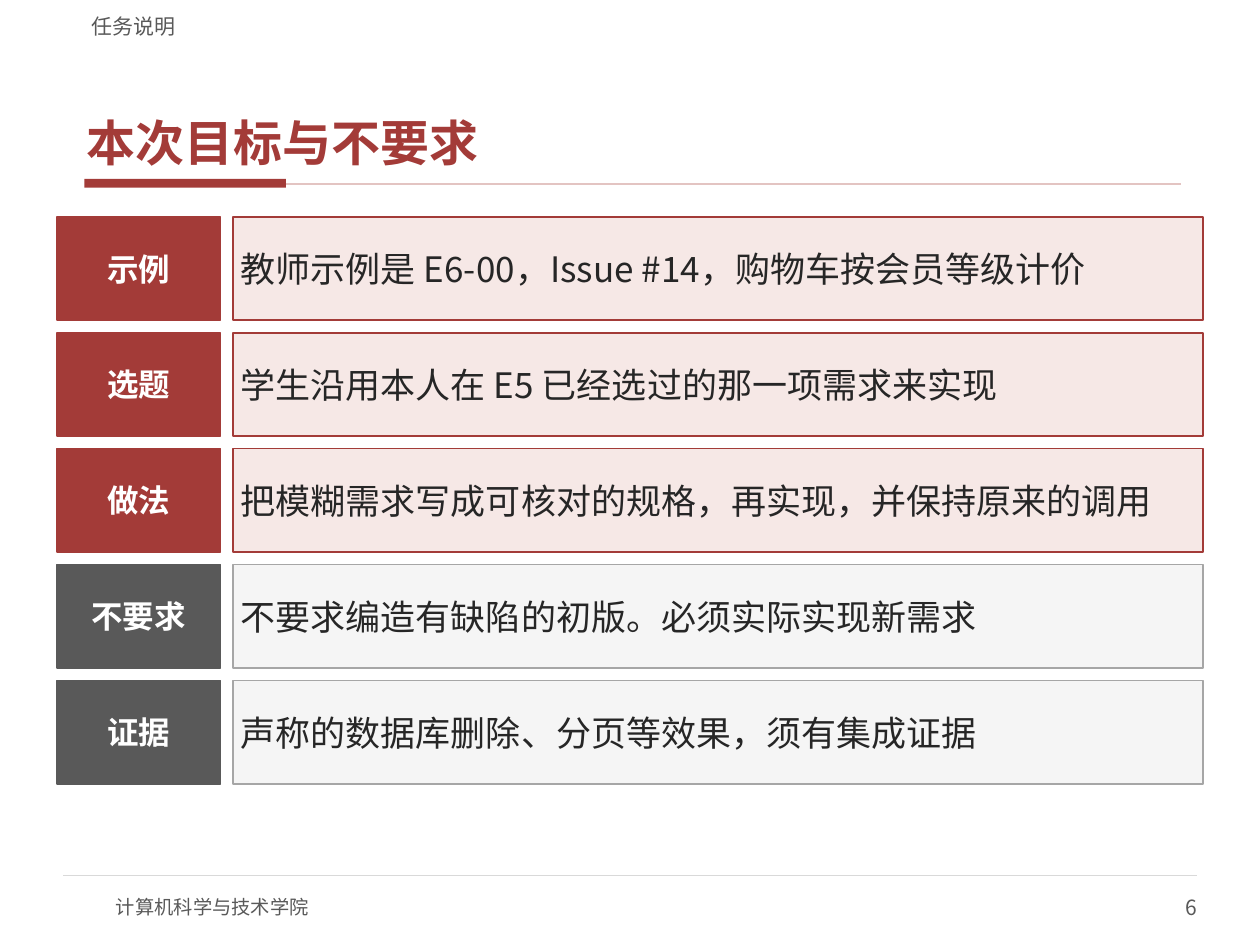
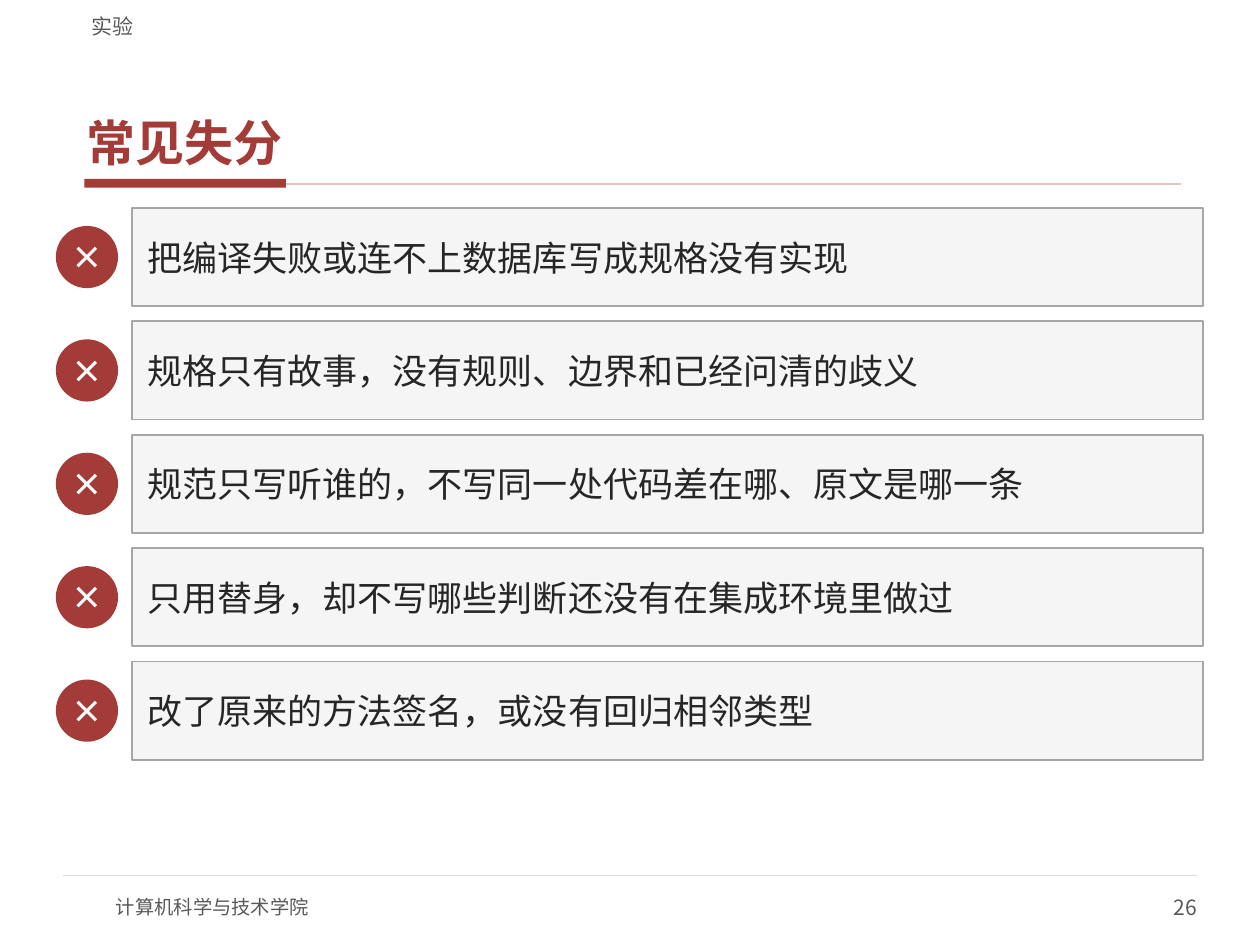
from dataclasses import dataclass

from lxml import etree
from pptx import Presentation
from pptx.dml.color import RGBColor
from pptx.enum import shapes, text
from pptx.oxml.ns import qn
from pptx.util import Pt

FONT = "Noto Sans CJK SC"
RED, PINK, PALE_RED = "A33B38", "F6E8E6", "E3C4C2"
GREY, MID_GREY, LIGHT_GREY, PALE_GREY = "595959", "A6A6A6", "D9D9D9", "F5F5F5"
INK, WHITE = "262626", "FFFFFF"
LEFT, RIGHT = 32.4, 687.6
ALIGN, ANCHOR = text.PP_ALIGN, text.MSO_ANCHOR
KIND = shapes.MSO_SHAPE


@dataclass(frozen=True)
class Box:
    left: float
    top: float
    width: float
    height: float

    def points(self) -> list[Pt]:
        return [Pt(v) for v in (self.left, self.top, self.width, self.height)]


@dataclass(frozen=True)
class TextStyle:
    size: float
    color: str
    bold: bool = False
    align: ALIGN = ALIGN.LEFT
    anchor: ANCHOR = ANCHOR.MIDDLE
    inset_x: float = 0
    inset_y: float = 0


@dataclass(frozen=True)
class Paint:
    fill: str
    line: str


@dataclass(frozen=True)
class Row:
    label: str
    content: str
    required: bool = True


TITLE = TextStyle(28, RED, True, anchor=ANCHOR.BOTTOM, inset_x=4.32, inset_y=1.44)
SECTION = TextStyle(12, GREY, anchor=ANCHOR.BOTTOM, inset_x=7.2)
FOOTER = TextStyle(11, GREY)
PAGE_NUMBER = TextStyle(12, GREY, align=ALIGN.RIGHT)
LABEL = TextStyle(18, WHITE, True, ALIGN.CENTER, inset_x=5.76, inset_y=2.88)
CROSS = TextStyle(18, WHITE, True, ALIGN.CENTER)
GOAL = TextStyle(20, INK, inset_x=4.32, inset_y=2.16)
MISTAKE = TextStyle(20, INK, inset_x=8.64, inset_y=4.32)

RED_SOLID, GREY_SOLID = Paint(RED, RED), Paint(GREY, GREY)
PINK_PANEL, GREY_PANEL = Paint(PINK, RED), Paint(PALE_GREY, MID_GREY)

GOALS = [
    Row("示例", "教师示例是 E6-00，Issue #14，购物车按会员等级计价"),
    Row("选题", "学生沿用本人在 E5 已经选过的那一项需求来实现"),
    Row("做法", "把模糊需求写成可核对的规格，再实现，并保持原来的调用"),
    Row("不要求", "不要求编造有缺陷的初版。必须实际实现新需求", False),
    Row("证据", "声称的数据库删除、分页等效果，须有集成证据", False),
]
MISTAKES = [
    "把编译失败或连不上数据库写成规格没有实现",
    "规格只有故事，没有规则、边界和已经问清的歧义",
    "规范只写听谁的，不写同一处代码差在哪、原文是哪一条",
    "只用替身，却不写哪些判断还没有在集成环境里做过",
    "改了原来的方法签名，或没有回归相邻类型",
]


def rgb(color: str) -> RGBColor:
    return RGBColor.from_string(color)


def write(shape, content: str, style: TextStyle) -> None:
    frame = shape.text_frame
    frame_format = {
        "word_wrap": True,
        "auto_size": text.MSO_AUTO_SIZE.NONE,
        "vertical_anchor": style.anchor,
        "margin_left": Pt(style.inset_x),
        "margin_right": Pt(style.inset_x),
        "margin_top": Pt(style.inset_y),
        "margin_bottom": Pt(style.inset_y),
    }
    for name, value in frame_format.items():
        setattr(frame, name, value)
    paragraph = frame.paragraphs[0]
    paragraph.alignment = style.align
    run = paragraph.add_run()
    run.text = content
    font_format = {"name": FONT, "size": Pt(style.size), "bold": style.bold}
    for name, value in font_format.items():
        setattr(run.font, name, value)
    run.font.color.rgb = rgb(style.color)
    etree.SubElement(run.font._element, qn("a:ea"), typeface=FONT)


def add_text(slide, box: Box, content: str, style: TextStyle) -> None:
    write(slide.shapes.add_textbox(*box.points()), content, style)


def add_block(slide, kind: KIND, box: Box, paint: Paint,
              content: str, style: TextStyle) -> None:
    """Draw a filled, outlined shape with text in it."""
    shape = slide.shapes.add_shape(kind, *box.points())
    shape.shadow.inherit = False
    shape.fill.solid()
    shape.fill.fore_color.rgb = rgb(paint.fill)
    shape.line.color.rgb = rgb(paint.line)
    shape.line.width = Pt(1)
    write(shape, content, style)


def add_rule(slide, left: float, right: float, top: float,
             color: str, width: float) -> None:
    """Draw a horizontal line."""
    ends = [Pt(v) for v in (left, top, right, top)]
    rule = slide.shapes.add_connector(shapes.MSO_CONNECTOR.STRAIGHT, *ends)
    rule.line.color.rgb = rgb(color)
    rule.line.width = Pt(width)
    etree.SubElement(rule._element.spPr, qn("a:effectLst"))


def add_base_slide(presentation, section: str, heading: str, number: int):
    """Add a slide with its title, section name, rules and footer."""
    slide = presentation.slides.add_slide(presentation.slide_layouts[5])
    bar = slide.shapes.add_shape(KIND.RECTANGLE, *Box(48.24, 102.24, 115.2, 5.04).points())
    bar.shadow.inherit = False
    bar.fill.solid()
    bar.fill.fore_color.rgb = rgb(RED)
    bar.line.fill.background()
    add_rule(slide, 163.44, 674.64, 105.12, PALE_RED, 1)
    add_rule(slide, 36, 684, 500.4, LIGHT_GREY, 0.75)
    add_text(slide, Box(66.24, 504, 288, 28.8), "计算机科学与技术学院", FOOTER)
    add_text(slide, Box(540, 504, 144, 28.8), str(number), PAGE_NUMBER)
    add_text(slide, Box(45.36, 2.88, 630, 19.44), section, SECTION)

    title = slide.shapes.title
    title_box = Box(45.36, 23.76, 630, 75.6)
    for name, value in zip(("left", "top", "width", "height"), title_box.points()):
        setattr(title, name, value)
    write(title, heading, TITLE)
    title.text_frame.paragraphs[0].space_after = Pt(2)
    return slide


def add_goals_slide(presentation) -> None:
    slide = add_base_slide(presentation, "任务说明", "本次目标与不要求", 6)
    top, pitch, height, label_width, gap = 123.84, 66.24, 59.04, 93.6, 7.2
    panel_left = LEFT + label_width + gap
    for index, row in enumerate(GOALS):
        row_top = top + index * pitch
        label_paint = RED_SOLID if row.required else GREY_SOLID
        panel_paint = PINK_PANEL if row.required else GREY_PANEL
        add_block(slide, KIND.RECTANGLE, Box(LEFT, row_top, label_width, height),
                  label_paint, row.label, LABEL)
        add_block(slide, KIND.RECTANGLE,
                  Box(panel_left, row_top, RIGHT - panel_left, height),
                  panel_paint, row.content, GOAL)


def add_mistakes_slide(presentation) -> None:
    slide = add_base_slide(presentation, "实验", "常见失分", 26)
    top, pitch, height, diameter, gap = 118.8, 64.8, 56.16, 34.56, 8.64
    panel_left = LEFT + diameter + gap
    for index, mistake in enumerate(MISTAKES):
        row_top = top + index * pitch
        circle_top = row_top + (height - diameter) / 2
        add_block(slide, KIND.OVAL, Box(LEFT, circle_top, diameter, diameter),
                  RED_SOLID, "×", CROSS)
        add_block(slide, KIND.RECTANGLE,
                  Box(panel_left, row_top, RIGHT - panel_left, height),
                  GREY_PANEL, mistake, MISTAKE)


def main() -> None:
    presentation = Presentation()
    presentation.slide_width, presentation.slide_height = Pt(720), Pt(540)
    add_goals_slide(presentation)
    add_mistakes_slide(presentation)
    presentation.save("out.pptx")


if __name__ == "__main__":
    main()
